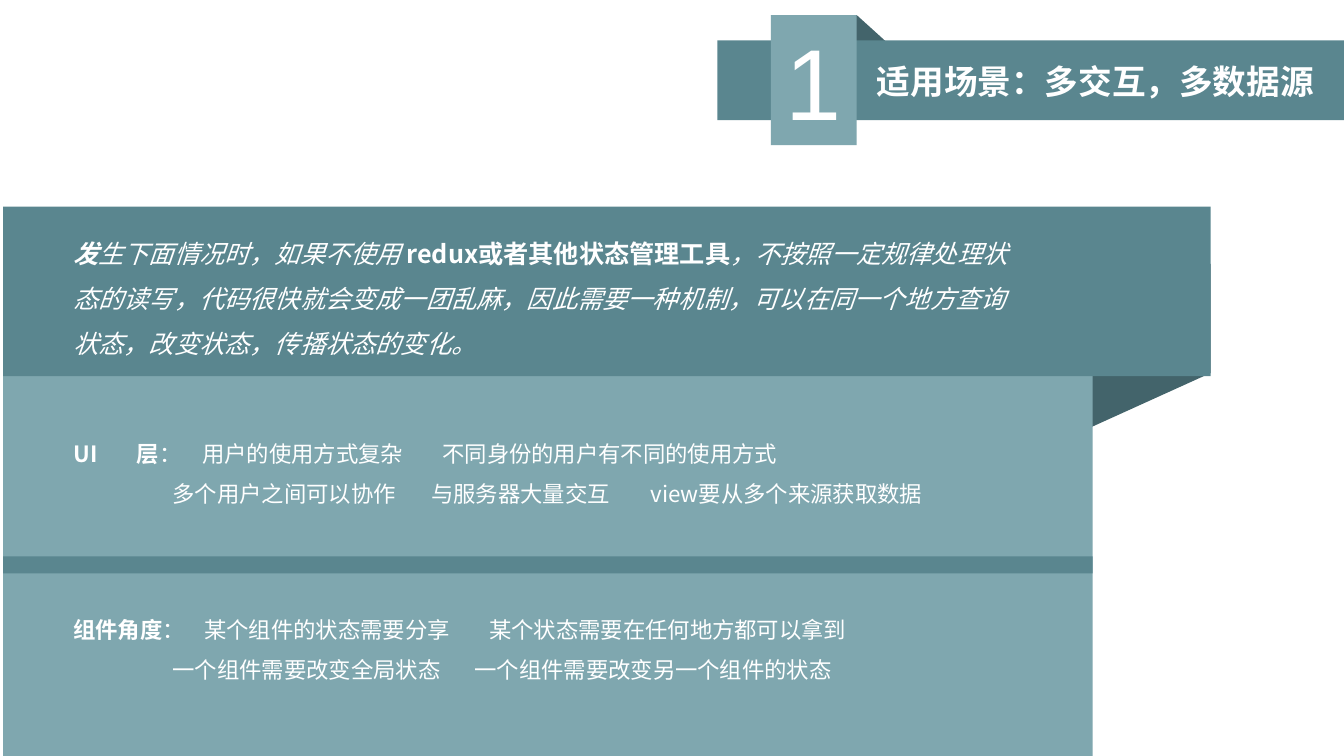
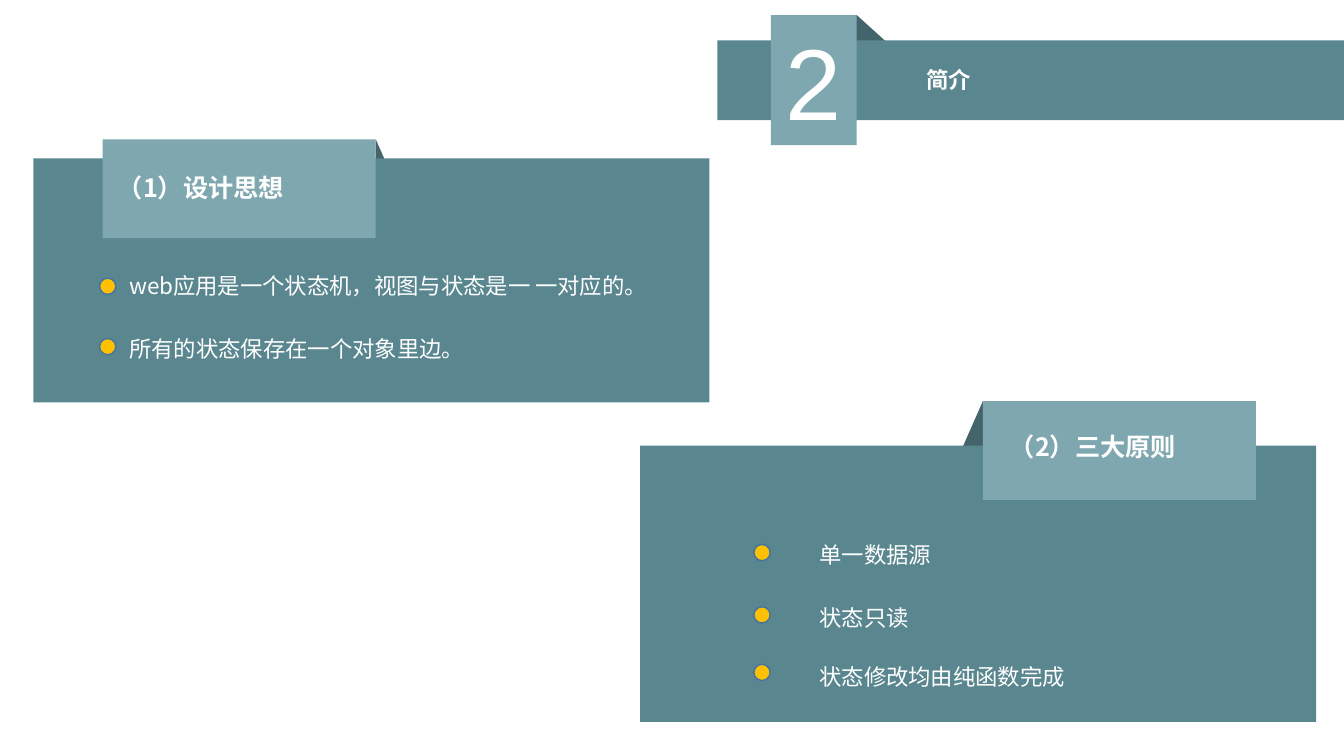
from dataclasses import dataclass

from lxml.etree import SubElement
from pptx import Presentation
from pptx.dml.color import RGBColor
from pptx.enum.shapes import MSO_SHAPE
from pptx.enum.text import MSO_ANCHOR, PP_ALIGN
from pptx.oxml.ns import qn
from pptx.util import Cm, Pt


@dataclass(frozen=True)
class Theme:
    band: str = "5A868F"
    panel: str = "7FA7AF"
    fold: str = "43646B"
    dot: str = "FFC000"
    dot_line: str = "43739E"
    text: str = "FFFFFF"
    font: str = "Noto Sans CJK SC"
    number_font: str = "Arial"
    number: int = 72
    title: int = 24
    heading: int = 18
    body: int = 16


T = Theme()
W, H = 33.87, 19.05
LINES = 1.5  # line spacing of body text

# Content: a run is (text, bold, italic); a tab marks a column start
SCENES_TITLE = ("适用场景：多交互，多数据源", (22.1, 1.4, 11.7, 1.27), T.title)
INTRO = [
    ("发", True, True),
    ("生下面情况时，如果不使用 ", False, True),
    ("redux或者其他状态管理工具", True, False),
    ("，不按照一定规律处理状态的读写，代码很快就会变成一团乱麻，因此需要一种机制，"
     "可以在同一个地方查询状态，改变状态，传播状态的变化。", False, True),
]
# Each block: top, then lines of (runs, tab stops)
SCENES = [
    (10.62, [
        ([("UI\t层", True, False),
          ("：\t用户的使用方式复杂\t不同身份的用户有不同的使用方式", False, False)],
         (1.6, 3.25, 9.3)),
        ([("\t多个用户之间可以协作\t与服务器大量交互\tview要从多个来源获取数据", False, False)],
         (2.5, 9.02, 14.55)),
    ]),
    (15.06, [
        ([("组件角度", True, False),
          ("：\t某个组件的状态需要分享\t某个状态需要在任何地方都可以拿到", False, False)],
         (3.3, 10.48)),
        ([("\t一个组件需要改变全局状态\t一个组件需要改变另一个组件的状态", False, False)],
         (2.5, 10.11)),
    ]),
]

INTRO_TITLE = ("简介", (23.34, 1.53, 8.6, 1.04), T.body)
# side is the edge of the tab that folds back: 1 right, -1 left
# Each item: text, top of its dot, top of its text
CARDS = [
    dict(heading="（1）设计思想", heading_at=(2.97, 4.22), side=1,
         box=(0.84, 3.99, 17.04, 6.15), tab=(2.59, 3.51),
         dot_left=2.51, text_left=3.01, items=[
             ("web应用是一个状态机，视图与状态是一 一对应的。", 7.01, 6.4),
             ("所有的状态保存在一个对象里边。", 8.53, 7.98)]),
    dict(heading="（2）三大原则", heading_at=(25.45, 10.74), side=-1,
         box=(16.13, 11.23, 17.04, 6.96), tab=(24.77, 10.11),
         dot_left=19.0, text_left=20.4, items=[
             ("单一数据源", 13.72, 13.18),
             ("状态只读", 15.29, 14.76),
             ("状态修改均由纯函数完成", 16.74, 16.26)]),
]
TAB_W, TAB_H = 6.88, 2.49
DOT = 0.41


# Drawing helpers
def paint(sp, fill, line=None):
    sp.shadow.inherit = False
    sp.fill.solid()
    sp.fill.fore_color.rgb = RGBColor.from_string(fill)
    if line:
        sp.line.color.rgb = RGBColor.from_string(line)
        sp.line.width = Pt(1)
    else:
        sp.line.fill.background()
    return sp


def shape(s, box, fill, kind=MSO_SHAPE.RECTANGLE, line=None):
    return paint(s.shapes.add_shape(kind, *map(Cm, box)), fill, line)


def fold(s, *points):
    start, *rest = [(Cm(x), Cm(y)) for x, y in points]
    fb = s.shapes.build_freeform(*start)
    fb.add_line_segments(rest, close=True)
    return paint(fb.convert_to_shape(), T.fold)


def style(p, size, bold=None, font=T.font):
    p.font.size = Pt(size)
    p.font.bold = bold
    p.font.color.rgb = RGBColor.from_string(T.text)
    p.font.name = font
    SubElement(p._p.pPr.find(qn("a:defRPr")), qn("a:ea"), typeface=font)


def text_frame(s, box, inset=0.25):
    tf = s.shapes.add_textbox(*map(Cm, box)).text_frame
    tf.word_wrap = True
    tf.margin_left = tf.margin_right = Cm(inset)
    return tf


def heading(s, text, box, size):
    p = text_frame(s, box, inset=0).paragraphs[0]
    p.text = text
    p.space_after = Pt(6)
    style(p, size, bold=True)


def body(s, box, lines, size):
    tf = text_frame(s, box)
    for i, (runs, stops) in enumerate(lines):
        p = tf.add_paragraph() if i else tf.paragraphs[0]
        p.line_spacing = LINES
        if stops:
            tabs = SubElement(p._p.get_or_add_pPr(), qn("a:tabLst"))
            for stop in stops:
                SubElement(tabs, qn("a:tab"), pos=str(Cm(stop)), algn="l")
        style(p, size)
        for text, bold, italic in runs:
            r = p.add_run()
            r.text = text
            r.font.bold, r.font.italic = bold, italic


def new_slide(prs, number, title):
    """Blank slide with the numbered header ribbon."""
    s = prs.slides.add_slide(prs.slide_layouts[6])
    fold(s, (19.43, 0.38), (21.59, 0.38), (23.7, 2.29))
    shape(s, (18.08, 1.02, W - 18.08, 2.01), T.band)
    tf = shape(s, (19.43, 0.38, 2.16, 3.28), T.panel).text_frame
    tf.margin_left = tf.margin_right = 0
    tf.vertical_anchor = MSO_ANCHOR.MIDDLE
    p = tf.paragraphs[0]
    p.text = str(number)
    p.alignment = PP_ALIGN.CENTER
    style(p, T.number, font=T.number_font)
    heading(s, *title)
    return s


# Slides
def scenes_slide(prs):
    s = new_slide(prs, 1, SCENES_TITLE)
    left, panel_w, ribbon_w, top, ribbon_h = 0.08, 27.46, 30.43, 5.21, 4.27
    right, bottom = left + ribbon_w, top + ribbon_h
    fold(s, (left, 6.65), (right, 6.65), (right, 9.4), (25.7, 11.58))
    shape(s, (left, bottom, panel_w, H - bottom), T.panel)
    shape(s, (left, 14.02, panel_w, 0.43), T.band)
    shape(s, (left, top, ribbon_w, ribbon_h), T.band)
    body(s, (1.6, 5.49, 24.05, 3.71), [(INTRO, ())], T.heading)
    for block_top, lines in SCENES:
        body(s, (1.6, block_top, 24.05, 2.31), lines, T.body)


def card(s, c):
    x, y = c["tab"]
    edge = x + TAB_W if c["side"] > 0 else x
    fold(s, (edge, y), (edge + c["side"] * 1.12, y + 2.54), (edge, y + TAB_H))
    shape(s, c["box"], T.band)
    shape(s, (x, y, TAB_W, TAB_H), T.panel)
    heading(s, c["heading"], (*c["heading_at"], 6.15, 1.02), T.heading)
    text_w = min(13.56, sum(c["box"][::2]) - c["text_left"])
    for text, dot_top, text_top in c["items"]:
        shape(s, (c["dot_left"], dot_top, DOT, DOT), T.dot, MSO_SHAPE.OVAL, T.dot_line)
        body(s, (c["text_left"], text_top, text_w, 1.27),
             [([(text, False, False)], ())], T.body)


def intro_slide(prs):
    s = new_slide(prs, 2, INTRO_TITLE)
    for c in CARDS:
        card(s, c)


def main():
    prs = Presentation()
    prs.slide_width, prs.slide_height = Cm(W), Cm(H)
    scenes_slide(prs)
    intro_slide(prs)
    prs.save("out.pptx")


if __name__ == "__main__":
    main()
